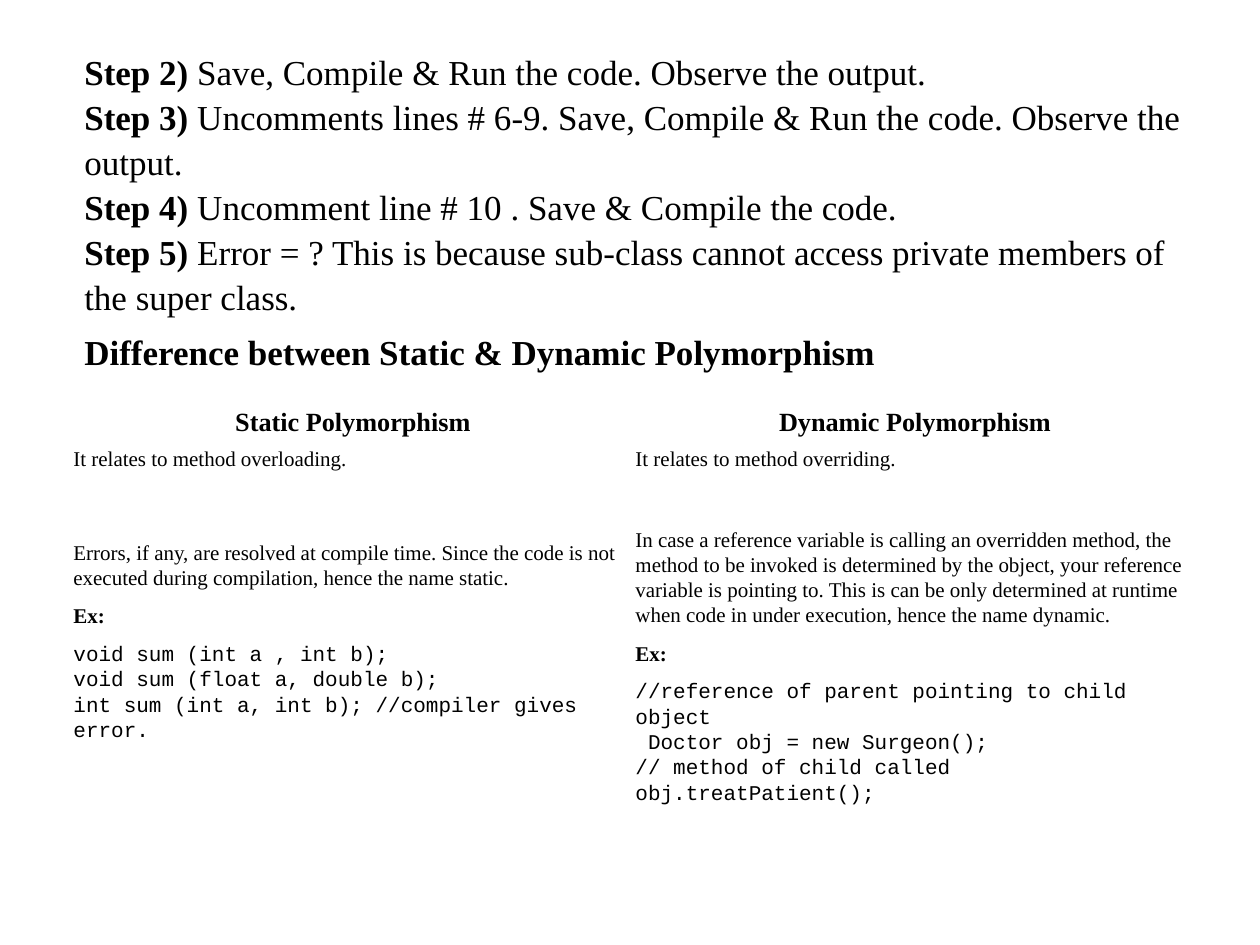
from pptx import Presentation
from pptx.dml.color import RGBColor
from pptx.enum.text import MSO_ANCHOR, MSO_AUTO_SIZE, PP_ALIGN
from pptx.util import Cm, Pt

SERIF, MONO = "Times New Roman", "Courier New"
BLACK = "000000"
STEPS = [
    ("Step 2)", " Save, Compile & Run the code. Observe the output."),
    ("Step 3)", " Uncomments lines # 6-9. Save, Compile & Run the code. Observe the output."),
    ("Step 4)", " Uncomment line # 10 . Save & Compile the code."),
    ("Step 5)", " Error = ? This is because sub-class cannot access private members of the super class."),
]
HEADING = "Difference between Static & Dynamic Polymorphism"
COLUMNS = [
    {
        "title": "Static Polymorphism",
        "relation": "It relates to method overloading.",
        "detail": "Errors, if any, are resolved at compile time. Since the code is not "
                  "executed during compilation, hence the name static.",
        "code": [
            "void sum (int a , int b);",
            "void sum (float a, double b);",
            "int sum (int a, int b); //compiler gives error.",
        ],
        "bottom": 1.04,
    },
    {
        "title": "Dynamic Polymorphism",
        "relation": "It relates to method overriding.",
        "detail": "In case a reference variable is calling an overridden method, the method "
                  "to be invoked is determined by the object, your reference variable is "
                  "pointing to. This is can be only determined at runtime when code in under "
                  "execution, hence the name dynamic.",
        "code": [
            "//reference of parent pointing to child object",
            " Doctor obj = new Surgeon();",
            "// method of child called",
            "obj.treatPatient();",
        ],
        "bottom": 0.03,
    },
]
LEFT, WIDTH = 1.45, 22.66
ROW_HEIGHTS = [0.81, 0.66, 7.75]
CELL_MARGIN = 0.03


def color(value):
    return RGBColor.from_string(value)


def add_span(para, text, size, bold=False, font=SERIF):
    span = para.add_run()
    span.text = text
    span.font.size = Pt(size)
    span.font.bold = bold
    span.font.name = font
    span.font.color.rgb = color(BLACK)


def next_para(frame, after=0, align=PP_ALIGN.LEFT):
    para = frame.paragraphs[0]
    if para.runs:
        para = frame.add_paragraph()
    para.line_spacing = 1.07
    para.space_after = Pt(after)
    para.alignment = align
    return para


def add_steps(page):
    box = page.shapes.add_textbox(Cm(LEFT), Cm(0.84), Cm(WIDTH), Cm(6.83))
    frame = box.text_frame
    frame.word_wrap = True
    frame.auto_size = MSO_AUTO_SIZE.SHAPE_TO_FIT_TEXT
    para = next_para(frame, after=6)
    for index, (label, action) in enumerate(STEPS):
        if index:
            para.add_line_break()
        add_span(para, label, 20, bold=True)
        add_span(para, action, 20)
    add_span(next_para(frame, after=6), HEADING, 20, bold=True)


def open_cell(table, row, column, bottom=CELL_MARGIN):
    cell = table.cell(row, column)
    cell.fill.background()
    cell.vertical_anchor = MSO_ANCHOR.MIDDLE
    cell.margin_left = cell.margin_right = cell.margin_top = Cm(CELL_MARGIN)
    cell.margin_bottom = Cm(bottom)
    return cell.text_frame


def add_comparison(page):
    table = page.shapes.add_table(
        len(ROW_HEIGHTS), len(COLUMNS), Cm(LEFT), Cm(8.1), Cm(WIDTH), Cm(sum(ROW_HEIGHTS))
    ).table
    table.first_row = False
    table.horz_banding = False
    for row, height in zip(table.rows, ROW_HEIGHTS):
        row.height = Cm(height)
    for index, content in enumerate(COLUMNS):
        table.columns[index].width = Cm(WIDTH / len(COLUMNS))
        title = next_para(open_cell(table, 0, index), align=PP_ALIGN.CENTER)
        add_span(title, content["title"], 15, bold=True)
        add_span(next_para(open_cell(table, 1, index)), content["relation"], 12)
        frame = open_cell(table, 2, index, content["bottom"])
        add_span(next_para(frame, after=8), content["detail"], 12)
        add_span(next_para(frame, after=8), "Ex:", 12, bold=True)
        for line in content["code"]:
            add_span(next_para(frame), line, 12, font=MONO)


def main():
    deck = Presentation()
    deck.slide_width, deck.slide_height = Cm(25.4), Cm(19.05)
    page = deck.slides.add_slide(deck.slide_layouts[6])
    add_steps(page)
    add_comparison(page)
    deck.save("out.pptx")


if __name__ == "__main__":
    main()
